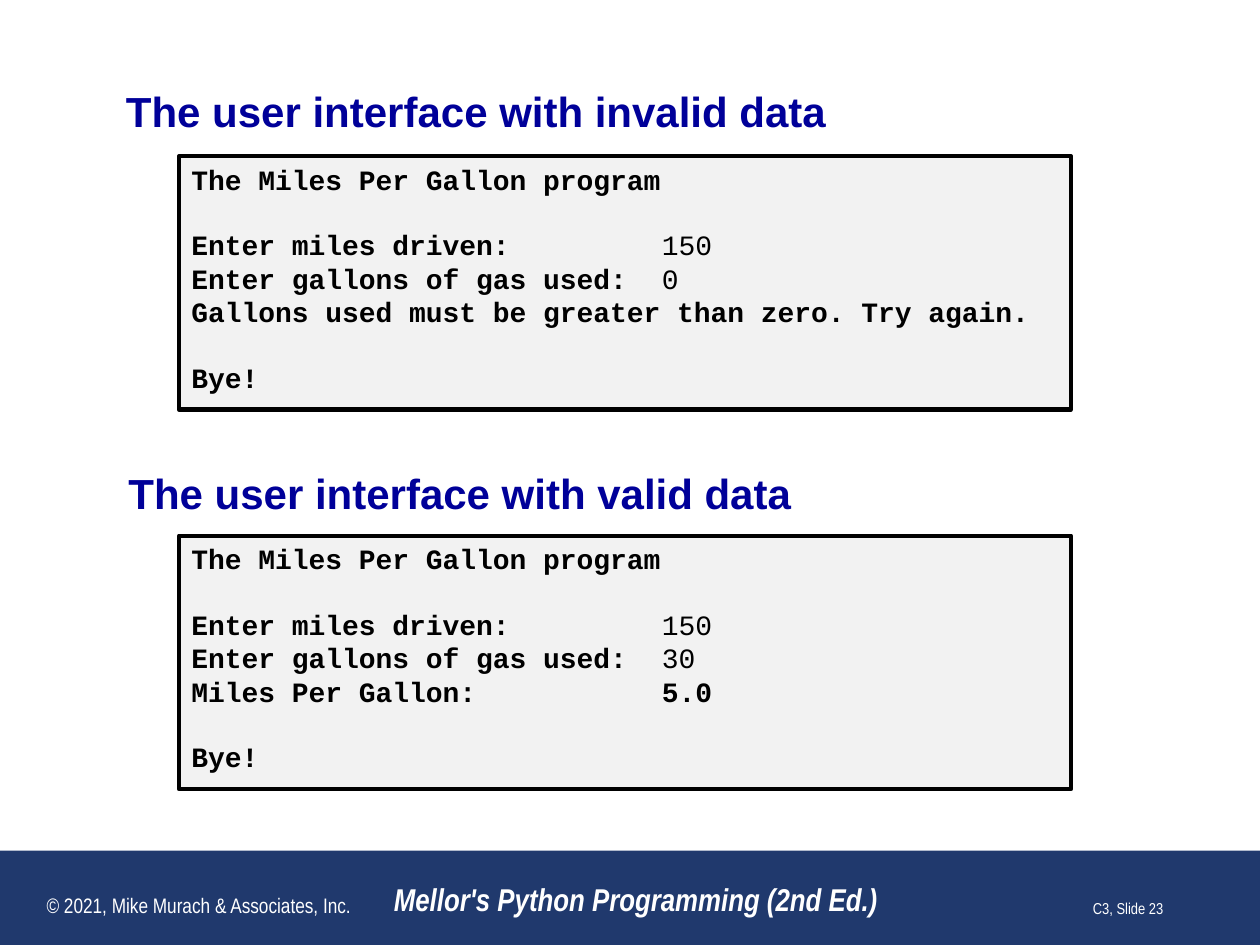
from pptx import Presentation
from pptx.dml.color import RGBColor
from pptx.enum.shapes import MSO_SHAPE
from pptx.enum.text import MSO_ANCHOR, PP_ALIGN
from pptx.oxml.ns import qn
from pptx.util import Cm, Pt
from lxml import etree

RECT = MSO_SHAPE.RECTANGLE
TOP, MIDDLE, BOTTOM = MSO_ANCHOR.TOP, MSO_ANCHOR.MIDDLE, MSO_ANCHOR.BOTTOM
LEFT, CENTER, RIGHT = PP_ALIGN.LEFT, PP_ALIGN.CENTER, PP_ALIGN.RIGHT
BLUE = RGBColor(0x00, 0x00, 0x99)
NAVY = RGBColor(0x20, 0x39, 0x6D)
GREY = RGBColor(0xF2, 0xF2, 0xF2)
BLACK = RGBColor(0, 0, 0)
WHITE = RGBColor(0xFF, 0xFF, 0xFF)

# Console lines: label, value, value is bold, line gap before
INTRO = ("The Miles Per Gallon program", "", False, False)
MILES = ("Enter miles driven:", "150", False, True)
GAS = "Enter gallons of gas used:"
BYE = ("Bye!", "", False, True)

# Heading, its box (left, top, width, height), side inset, panel top, lines
PARTS = [
    ("The user interface with invalid data", (2.54, 1.73, 20.32, 1.02), 0, 3.15,
     [INTRO, MILES, (GAS, "0", False, False),
      ("Gallons used must be greater than zero. Try again.", "", False, False),
      BYE]),
    ("The user interface with valid data", (2.34, 9.3, 20.52, 1.27), 0.25, 10.8,
     [INTRO, MILES, (GAS, "30", False, False),
      ("Miles Per Gallon:", "5.0", True, False), BYE]),
]

# Footer: text, left, width, size, alignment, bold italic
FOOTER = [
    ("Mellor's Python Programming (2nd Ed.)", 7.42, 10.8, 18, CENTER, True),
    ("© 2021, Mike Murach & Associates, Inc.", 0.2, 7.62, 12, CENTER, False),
    ("C3, Slide 23", 18.42, 5.28, 9, RIGHT, False),
]
FOOT_TOP, FOOT_HIGH = 17.35, 1.27
PANEL_LEFT, PANEL_WIDE, PANEL_HIGH = 3.61, 17.98, 5.11
CODE_SIZE = 16
LINE_HIGH = 18.1              # points, one Courier New line
VALUE_COL = 28 * 0.6 * CODE_SIZE  # points, 28 characters wide


def style(font, name, size, color, bold=False, italic=False):
    font.name, font.size = name, Pt(size)
    font.bold, font.italic = bold, italic
    font.color.rgb = color


def add_rect(slide, box, fill):
    shape = slide.shapes.add_shape(RECT, *map(Cm, box))
    shape.shadow.inherit = False
    shape.fill.solid()
    shape.fill.fore_color.rgb = fill
    shape.line.fill.background()
    return shape


def add_label(slide, text, box, anchor, align, look, inset=0.25):
    frame = slide.shapes.add_textbox(*map(Cm, box)).text_frame
    frame.word_wrap = True
    frame.vertical_anchor = anchor
    frame.margin_left = frame.margin_right = Cm(inset)
    para = frame.paragraphs[0]
    para.text, para.alignment = text, align
    style(para.font, *look)


def add_tab(para, pos):
    tabs = etree.SubElement(para._p.get_or_add_pPr(), qn("a:tabLst"))
    etree.SubElement(tabs, qn("a:tab"), pos=str(int(pos)), algn="l")


def add_panel(slide, top, lines):
    panel = add_rect(slide, (PANEL_LEFT, top, PANEL_WIDE, PANEL_HIGH), GREY)
    panel.line.color.rgb = BLACK
    panel.line.width = Pt(2.5)
    frame = panel.text_frame
    frame.word_wrap = True
    frame.vertical_anchor = TOP
    for i, (label, value, bold, gap) in enumerate(lines):
        para = frame.add_paragraph() if i else frame.paragraphs[0]
        para.alignment = LEFT
        if gap:
            para.space_before = Pt(LINE_HIGH)
        if value:
            add_tab(para, Pt(VALUE_COL))
        style(para.font, "Courier New", CODE_SIZE, BLACK, True)
        para.add_run().text = label + ("\t" if value else "")
        if value:
            run = para.add_run()
            run.text = value
            run.font.bold = bold


def main():
    deck = Presentation()
    deck.slide_width, deck.slide_height = Cm(25.4), Cm(19.05)
    slide = deck.slides.add_slide(deck.slide_layouts[6])

    # Footer band
    add_rect(slide, (0, 17.15, 25.4, 1.9), NAVY)

    # Headings and console panels
    for text, box, inset, top, lines in PARTS:
        add_label(slide, text, box, MIDDLE, LEFT, ("Arial", 24, BLUE, True), inset)
        add_panel(slide, top, lines)

    # Footer texts
    for text, left, wide, size, align, strong in FOOTER:
        add_label(slide, text, (left, FOOT_TOP, wide, FOOT_HIGH), BOTTOM, align,
                  ("Arial Narrow", size, WHITE, strong, strong))

    deck.save("out.pptx")


if __name__ == "__main__":
    main()
